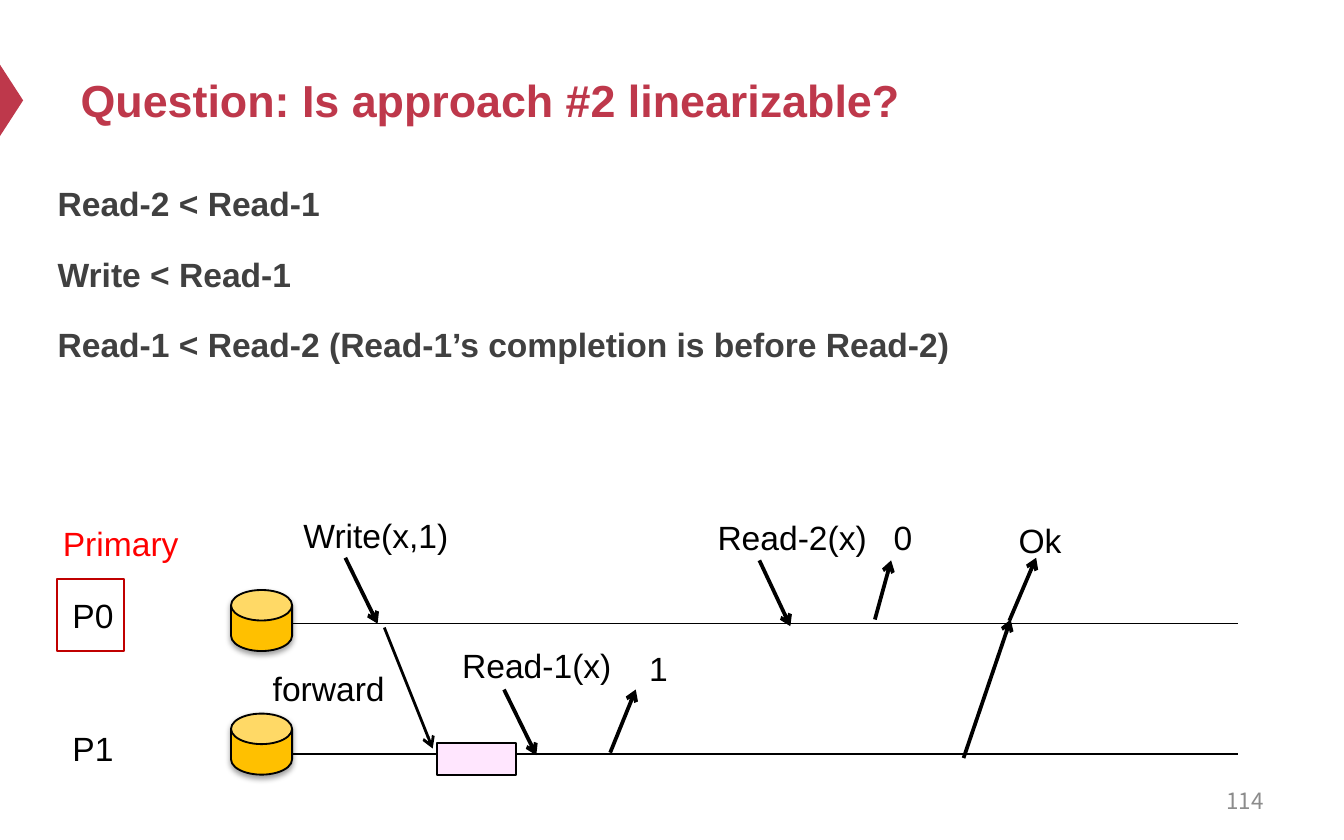
from typing import NamedTuple

from lxml import etree
from pptx import Presentation
from pptx.dml.color import RGBColor
from pptx.enum.shapes import MSO_CONNECTOR, MSO_SHAPE
from pptx.enum.text import MSO_ANCHOR, MSO_AUTO_SIZE, PP_ALIGN
from pptx.oxml.ns import qn
from pptx.util import Pt

STRAIGHT = MSO_CONNECTOR.STRAIGHT
CAN, RECTANGLE, TRIANGLE = MSO_SHAPE.CAN, MSO_SHAPE.RECTANGLE, MSO_SHAPE.ISOSCELES_TRIANGLE
TOP, MIDDLE = MSO_ANCHOR.TOP, MSO_ANCHOR.MIDDLE
LEFT, RIGHT = PP_ALIGN.LEFT, PP_ALIGN.RIGHT
NO_AUTOFIT = MSO_AUTO_SIZE.NONE

CRIMSON = RGBColor(0xBE, 0x38, 0x4B)
DARK_GRAY = RGBColor(0x40, 0x40, 0x40)
LIGHT_GRAY = RGBColor(0x8C, 0x8C, 0x8C)
BLACK = RGBColor(0, 0, 0)
RED = RGBColor(0xFF, 0, 0)
DARK_RED = RGBColor(0xC0, 0, 0)
AMBER = RGBColor(0xFF, 0xC0, 0)
PINK = RGBColor(0xFF, 0xE6, 0xFE)


class Area(NamedTuple):
    left: float
    top: float
    width: float
    height: float


class Label(NamedTuple):
    text: str
    left: float
    top: float
    width: float = 126
    color: RGBColor = BLACK


class Arrow(NamedTuple):
    x1: float
    y1: float
    x2: float
    y2: float
    weight: float = 2


class Replica(NamedTuple):
    name: str
    line_y: float
    label_top: float
    can_top: float


ORDERINGS = [
    "Read-2 < Read-1",
    "Write < Read-1",
    "Read-1 < Read-2 (Read-1’s completion is before Read-2)",
]
REPLICAS = [Replica("P0", 334.1, 315.4, 316.1), Replica("P1", 403.9, 386.6, 382.3)]
LABELS = [
    Label("Primary", 26.6, 276.5, 108, RED),
    Label("Write(x,1)", 155.5, 272.2, 149),
    Label("forward", 139, 354.2),
    Label("Read-1(x)", 240.5, 342),
    Label("1", 340.6, 343.4),
    Label("Read-2(x)", 377.3, 273.6),
    Label("0", 471.6, 273.6),
    Label("Ok", 538.6, 275),
]
ARROWS = [
    Arrow(185, 298.8, 202.3, 334.1),       # write request
    Arrow(205.9, 336.2, 231.8, 401, 1.5),  # forward to P1
    Arrow(270, 369.4, 287.3, 404.6),       # read-1 request
    Arrow(326.9, 403.2, 340.6, 369.4),     # read-1 reply
    Arrow(516.2, 406.1, 541.4, 331.9),     # acknowledgement to P0
    Arrow(406.8, 300.2, 423.4, 335.5),     # read-2 request
    Arrow(468.7, 331.9, 477.4, 300.2),     # read-2 reply
    Arrow(540.7, 332.6, 555.1, 298.8),     # write reply
]


def add_span(para, text: str, size: float, color: RGBColor, bold=False, font="Arial") -> None:
    span = para.add_run()
    span.text = text
    span.font.name = font
    span.font.size = Pt(size)
    span.font.bold = bold
    span.font.color.rgb = color


def add_box(slide, area: Area, anchor=TOP):
    box = slide.shapes.add_textbox(*map(Pt, area))
    box.text_frame.word_wrap = True
    box.text_frame.vertical_anchor = anchor
    return box.text_frame


def add_label(slide, label: Label) -> None:
    frame = add_box(slide, Area(label.left, label.top, label.width, 29))
    add_span(frame.paragraphs[0], label.text, 18, label.color)


def add_figure(slide, kind, area: Area, fill=None, outline=None):
    figure = slide.shapes.add_shape(kind, *map(Pt, area))
    figure.shadow.inherit = False
    if fill is None:
        figure.fill.background()
    else:
        figure.fill.solid()
        figure.fill.fore_color.rgb = fill
    if outline is None:
        figure.line.fill.background()
    else:
        figure.line.color.rgb = outline
        figure.line.width = Pt(1)
    return figure


def add_line(slide, arrow: Arrow, head=True) -> None:
    ends = (arrow.x1, arrow.y1, arrow.x2, arrow.y2)
    line = slide.shapes.add_connector(STRAIGHT, *map(Pt, ends))
    line.line.color.rgb = BLACK
    line.line.width = Pt(arrow.weight)
    if head:
        etree.SubElement(line.line._get_or_add_ln(), qn("a:tailEnd"), type="arrow")
    etree.SubElement(line._element.spPr, qn("a:effectLst"))


def add_database(slide, top: float) -> None:
    can = add_figure(slide, CAN, Area(123.8, top, 32.7, 32.7), AMBER, BLACK)
    can.adjustments[0] = 0.5
    # Soft shadow straight below
    effects = can._element.spPr.find(qn("a:effectLst"))
    shadow = etree.SubElement(effects, qn("a:outerShdw"), blurRad=str(Pt(3.1)),
                              dist=str(Pt(1.6)), dir="5400000", rotWithShape="0")
    color = etree.SubElement(shadow, qn("a:srgbClr"), val=str(BLACK))
    etree.SubElement(color, qn("a:alpha"), val="38000")


def add_title(slide, text: str) -> None:
    title = slide.shapes.title
    title.left, title.top, title.width, title.height = map(Pt, (36, 18, 648, 70.6))
    frame = title.text_frame
    frame.auto_size = NO_AUTOFIT
    frame.vertical_anchor = MIDDLE
    frame.paragraphs[0].alignment = LEFT
    add_span(frame.paragraphs[0], text, 24, CRIMSON, bold=True)


def add_orderings(slide) -> None:
    frame = add_box(slide, Area(23.8, 90, 648, 147.6))
    for index, text in enumerate(ORDERINGS):
        para = frame.add_paragraph() if index else frame.paragraphs[0]
        para.line_spacing = 1.2
        para.space_before = Pt(12 if index else 0)
        add_span(para, text, 18, DARK_GRAY, bold=True)


def main() -> None:
    deck = Presentation()
    deck.slide_width, deck.slide_height = Pt(720), Pt(450)
    slide = deck.slides.add_slide(deck.slide_layouts[5])

    # Heading, claims and page number
    marker = add_figure(slide, TRIANGLE, Area(-12.9, 47.6, 38.2, 12.4), CRIMSON)
    marker.rotation = 90
    add_title(slide, "Question: Is approach #2 linearizable?")
    add_orderings(slide)
    number = add_box(slide, Area(516.2, 416.9, 167.8, 23.8), MIDDLE).paragraphs[0]
    number.alignment = RIGHT
    add_span(number, "114", 12, LIGHT_GRAY, font="Noto Sans CJK SC")

    # Replica timelines
    for replica in REPLICAS:
        add_line(slide, Arrow(129.6, replica.line_y, 663.1, replica.line_y, 0.75), head=False)
        add_label(slide, Label(replica.name, 31.7, replica.label_top, 51))
        add_database(slide, replica.can_top)
    add_figure(slide, RECTANGLE, Area(30.4, 310.2, 36, 38.8), outline=DARK_RED)
    add_figure(slide, RECTANGLE, Area(234, 398, 42.6, 17), PINK, BLACK)

    # Messages and their labels
    for arrow in ARROWS:
        add_line(slide, arrow)
    for label in LABELS:
        add_label(slide, label)

    deck.save("out.pptx")


if __name__ == "__main__":
    main()
